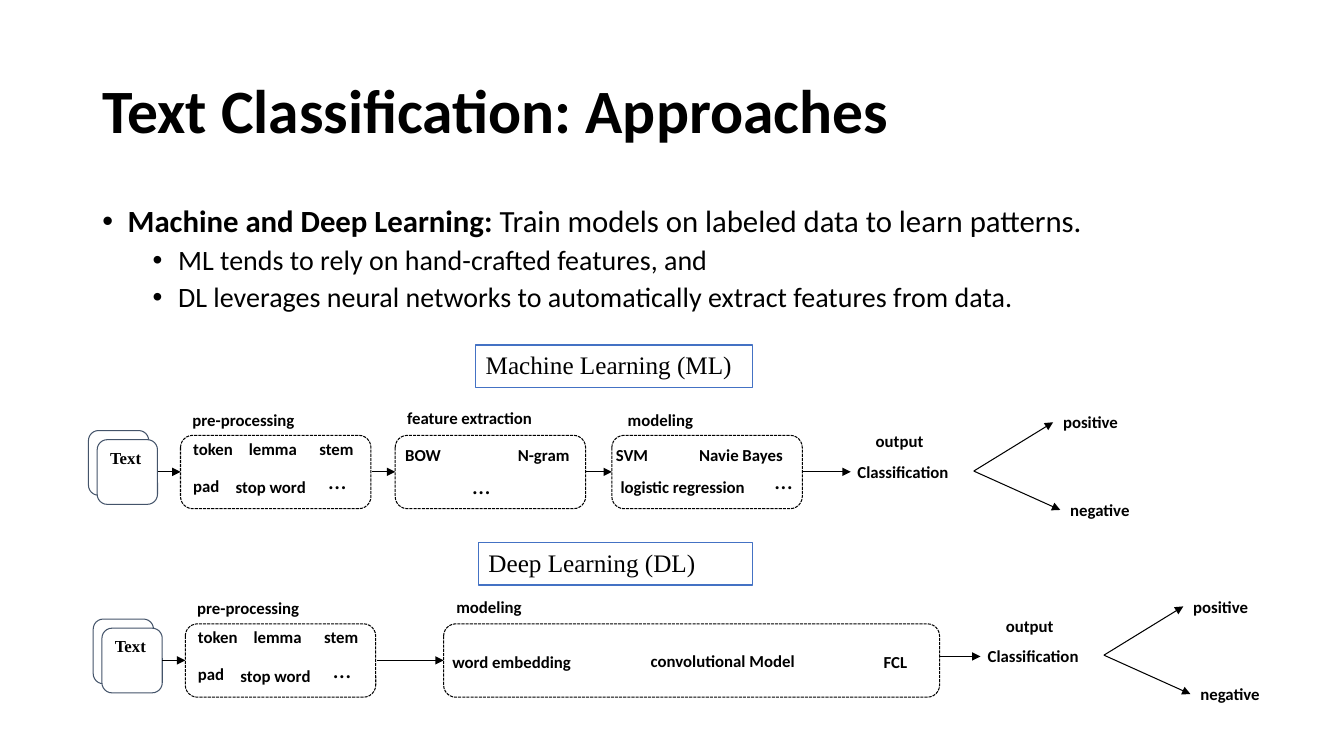
from lxml import etree
from pptx import Presentation, util as u
from pptx.dml.color import RGBColor
from pptx.enum import dml, shapes, text
from pptx.oxml import ns

SHAPE = shapes.MSO_SHAPE


def color(code):
    return RGBColor.from_string(code)


def write(para, words, size=12, bold=False, font="Calibri", ink="000000"):
    run = para.add_run()
    run.text = words
    run.font.size = u.Pt(size)
    run.font.bold = bold
    run.font.name = font
    run.font.color.rgb = color(ink)


class Board:
    """Holds the style and the current slide, and draws each kind of element."""

    ink, edge, blue, paper = "000000", "44546A", "4472C4", "FFFFFF"
    serif = "Times New Roman"

    def __init__(self, slide):
        self.slide = slide

    def title(self, words, *area):
        head = self.slide.shapes.title
        head.left, head.top, head.width, head.height = map(u.Cm, area)
        frame = head.text_frame
        frame.vertical_anchor = text.MSO_ANCHOR.MIDDLE
        para = frame.paragraphs[0]
        para.alignment = text.PP_ALIGN.LEFT
        para.line_spacing = 0.9
        write(para, words, size=44, bold=True)

    def list(self, items, *area):
        frame = self.slide.shapes.add_textbox(*map(u.Cm, area)).text_frame
        frame.word_wrap = True
        for i, (level, size, runs) in enumerate(items):
            para = frame.paragraphs[0] if i == 0 else frame.add_paragraph()
            props = para._p.get_or_add_pPr()
            props.set("marL", str(u.Cm(0.64 + 1.27 * level)))
            props.set("indent", str(-u.Cm(0.64)))
            etree.SubElement(props, ns.qn("a:buFont")).set("typeface", "Arial")
            etree.SubElement(props, ns.qn("a:buChar")).set("char", "•")
            para.level = level
            para.alignment = text.PP_ALIGN.JUSTIFY
            para.line_spacing = 0.9
            if i:
                para.space_before = u.Pt(5)
            for words, bold in runs:
                write(para, words, size=size, bold=bold)

    def label(self, words, left, top, width):
        box = self.slide.shapes.add_textbox(*map(u.Cm, (left, top, width, 0.76)))
        box.text_frame.word_wrap = False
        dots = words == "…"
        write(box.text_frame.paragraphs[0], words, size=18 if dots else 12, bold=not dots)

    def labels(self, items, dx=0, dy=0):
        for words, left, top, width in items:
            self.label(words, left + dx, top + dy, width)

    def box(self, kind, *area, line=edge, fill=None, weight=0.75, dash=False,
            words="", **style):
        shape = self.slide.shapes.add_shape(kind, *map(u.Cm, area))
        shape.shadow.inherit = False
        if fill:
            shape.fill.solid()
            shape.fill.fore_color.rgb = color(fill)
        else:
            shape.fill.background()
        shape.line.color.rgb = color(line)
        shape.line.width = u.Pt(weight)
        if dash:
            shape.line.dash_style = dml.MSO_LINE.SQUARE_DOT
        if words:
            shape.text_frame.vertical_anchor = text.MSO_ANCHOR.TOP
            para = shape.text_frame.paragraphs[0]
            para.alignment = text.PP_ALIGN.LEFT
            write(para, words, font=self.serif, **style)

    def arrow(self, *ends):
        line = self.slide.shapes.add_connector(
            shapes.MSO_CONNECTOR.STRAIGHT, *map(u.Cm, ends))
        line.line.color.rgb = color(self.ink)
        line.line.width = u.Pt(0.75)
        tail = etree.SubElement(line.line._get_or_add_ln(), ns.qn("a:tailEnd"))
        tail.set("type", "triangle")
        etree.SubElement(line._element.spPr, ns.qn("a:effectLst"))

    def head(self, words, *area):
        self.box(SHAPE.RECTANGLE, *area, line=self.blue, fill=self.paper,
                 weight=1, words=words, size=18)

    def stage(self, left, top, width=4.8):
        self.box(SHAPE.ROUNDED_RECTANGLE, left, top, width, 1.85,
                 line=self.ink, dash=True)

    def input(self, dx=0, dy=0):
        self.box(SHAPE.ROUNDED_RECTANGLE, 2.23 + dx, 10.85 + dy, 1.52, 1.63)
        self.box(SHAPE.ROUNDED_RECTANGLE, 2.45 + dx, 11.08 + dy, 1.52, 1.63,
                 fill=self.paper, words="Text", bold=True)
        self.arrow(3.97 + dx, 11.89 + dy, 4.55 + dx, 11.89 + dy)
        self.stage(4.55 + dx, 10.97 + dy)
        self.labels([
            ("pre-processing", 4.6, 10.19, 3.61),
            ("token", 4.62, 10.92, 1.65),
            ("lemma", 6.02, 10.92, 1.85),
            ("stem", 7.8, 10.93, 1.5),
            ("pad", 4.62, 11.86, 1.27),
            ("stop word", 5.69, 11.89, 2.57),
            ("…", 8.03, 11.58, 1.14),
        ], dx, dy)

    def output(self, dx=0, dy=0):
        self.labels([
            ("output", 21.82, 10.74, 1.85),
            ("Classification", 21.36, 11.51, 3.3),
            ("positive", 26.54, 10.26, 2.13),
            ("negative", 26.72, 12.47, 2.24),
        ], dx, dy)
        for x, y in ((26.54, 10.64), (26.72, 12.85)):
            self.arrow(24.54 + dx, 11.87 + dy, x + dx, y + dy)


def main():
    deck = Presentation()
    deck.slide_width, deck.slide_height = u.Cm(33.87), u.Cm(19.05)
    board = Board(deck.slides.add_slide(deck.slide_layouts[5]))

    board.title("Text Classification: Approaches", 2.33, 1.01, 29.21, 3.68)
    board.list([
        (0, 22, [("Machine and Deep Learning: ", True),
                 ("Train models on labeled data to learn patterns.", False)]),
        (1, 20, [("ML tends to rely on hand-crafted features, and", False)]),
        (1, 20, [("DL leverages neural networks to automatically extract "
                  "features from data.", False)]),
    ], 2.33, 5.07, 29.21, 12.09)

    board.head("Machine Learning (ML)", 11.99, 8.69, 6.98, 1.07)
    board.input()
    for left in (9.96, 15.42):
        board.stage(left, 10.97)
    board.labels([
        ("feature extraction", 10.01, 10.16, 4.09),
        ("BOW", 9.96, 11.07, 1.55),
        ("N-gram", 12.8, 11.07, 2.01),
        ("…", 11.66, 11.71, 1.14),
        ("modeling", 15.57, 10.19, 2.41),
        ("SVM", 15.27, 11.09, 1.45),
        ("Navie Bayes", 17.37, 11.09, 3.02),
        ("logistic regression", 15.39, 11.89, 4.32),
        ("…", 19.28, 11.58, 1.14),
    ])
    for start, end in ((9.37, 9.96), (14.78, 15.42), (20.24, 21.44)):
        board.arrow(start, 11.89, end, 11.89)
    board.output()

    board.head("Deep Learning (DL)", 12.06, 13.67, 6.91, 1.07)
    board.input(0.12, 4.75)
    board.stage(11.18, 15.72, 12.5)
    board.labels([
        ("modeling", 11.25, 14.91, 2.41),
        ("word embedding", 11.15, 16.31, 3.94),
        ("convolutional Model", 16.15, 16.28, 4.65),
        ("FCL", 22.02, 16.31, 1.3),
    ])
    board.arrow(9.5, 16.64, 11.18, 16.64)
    board.arrow(23.67, 16.54, 24.71, 16.54)
    board.output(3.28, 4.64)

    deck.save("out.pptx")


if __name__ == "__main__":
    main()
